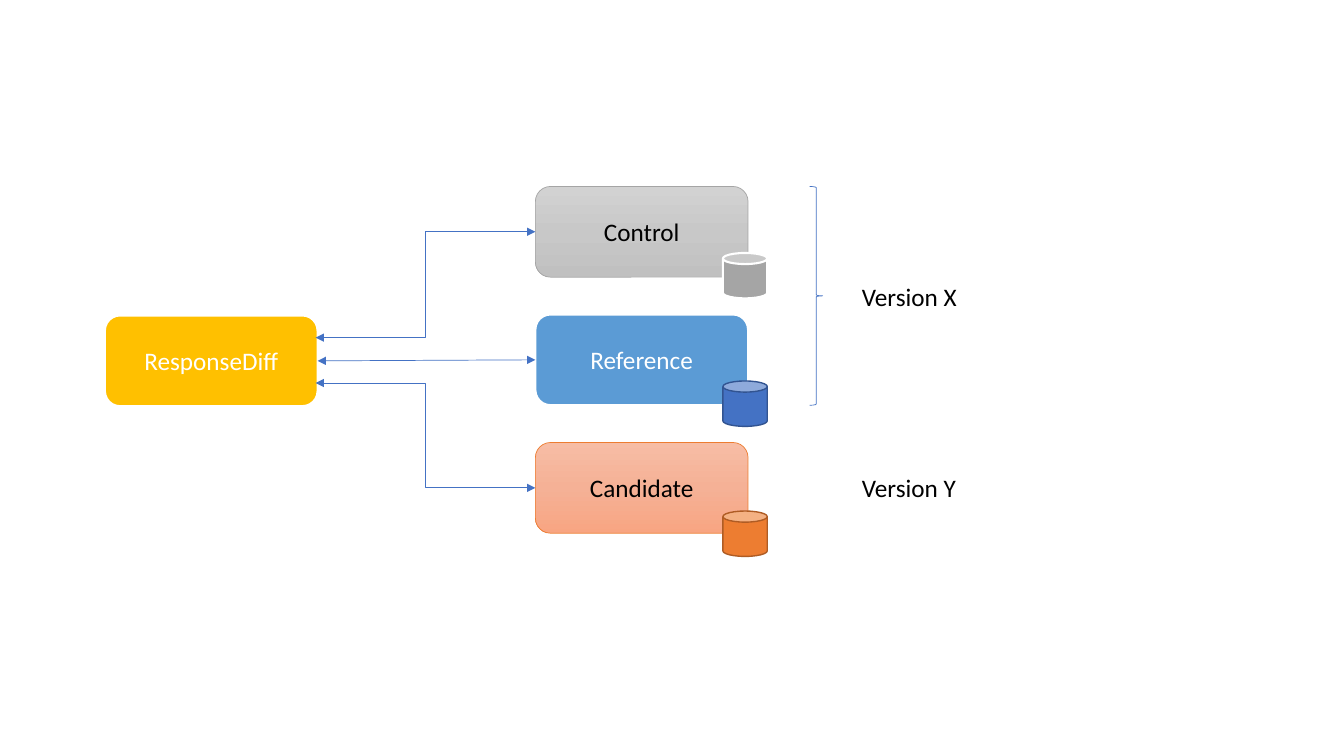
from copy import deepcopy

from lxml.etree import SubElement
from pptx import Presentation
from pptx.dml.color import RGBColor
from pptx.enum.shapes import MSO_CONNECTOR as Connector, MSO_SHAPE as Shape
from pptx.enum.text import MSO_ANCHOR as Anchor, MSO_AUTO_SIZE as AutoSize, PP_ALIGN as Align
from pptx.oxml.ns import qn
from pptx.util import Inches, Pt

COLORS = {
    "white": "FFFFFF", "black": "000000", "gold": "FFC000", "sky": "5B9BD5",
    "blue": "4472C4", "navy": "325491", "orange": "ED7D31", "brown": "AF5C24",
    "gray": "A5A5A5",
    "gray_light": "D2D2D2", "gray_middle": "C8C8C8", "gray_dark": "C0C0C0",
    "peach_light": "F7BDA5", "peach_middle": "F5B196", "peach_dark": "F8A582",
}
GRAY_GRADIENT = ("gray_light", "gray_middle", "gray_dark")
PEACH_GRADIENT = ("peach_light", "peach_middle", "peach_dark")


def color(name):
    """Return the named colour."""
    return RGBColor.from_string(COLORS[name])


def write_text(frame, text, *, ink="black", size=18, font="Calibri", align=Align.LEFT):
    """Put one formatted line of text in a text frame."""
    paragraph = frame.paragraphs[0]
    paragraph.alignment = align
    run = paragraph.add_run()
    run.text = text
    run.font.name = font
    run.font.size = Pt(size)
    run.font.color.rgb = color(ink)


class Diagram:
    """Draws styled elements on one slide."""

    def __init__(self, slide, line_color="blue", line_width=0.5):
        """Keep the slide and the line style."""
        self.slide = slide
        self.line_color = line_color
        self.line_width = line_width

    def shape(self, kind, left, top, width, height, fill, line, line_width):
        """Add a preset shape with a plain, gradient or empty fill."""
        shape = self.slide.shapes.add_shape(
            kind, Inches(left), Inches(top), Inches(width), Inches(height))
        shape.shadow.inherit = False
        if fill is None:
            shape.fill.background()
        elif isinstance(fill, tuple):
            self.gradient(shape, fill)
        else:
            shape.fill.solid()
            shape.fill.fore_color.rgb = color(fill)
        shape.line.color.rgb = color(line)
        shape.line.width = Pt(line_width)
        return shape

    def gradient(self, shape, names):
        """Fill a shape from top to bottom with three evenly spaced stops."""
        shape.fill.gradient()
        shape.fill.gradient_angle = 270
        first = shape.element.find(".//" + qn("a:gs"))
        first.addnext(deepcopy(first))
        for index, (stop, name) in enumerate(zip(shape.fill.gradient_stops, names)):
            stop.position = index / 2
            stop.color.rgb = color(name)

    def box(self, text, left, top, fill, line, line_width, ink):
        """Add a labelled rounded box."""
        box = self.shape(Shape.ROUNDED_RECTANGLE, left, top, 2.11, 0.9, fill, line, line_width)
        box.text_frame.vertical_anchor = Anchor.MIDDLE
        write_text(box.text_frame, text, ink=ink, align=Align.CENTER)
        return box

    def database(self, top, fill, line, line_width):
        """Add a database cylinder."""
        self.shape(Shape.CAN, 7.17, top, 0.44, 0.45, fill, line, line_width)

    def brace(self, left, top, width, height):
        """Add a brace that points right."""
        brace = self.shape(Shape.LEFT_BRACE, left, top, width, height,
                           None, self.line_color, self.line_width)
        brace.rotation = 180

    def label(self, text, left, top):
        """Add an unwrapped text label."""
        label = self.slide.shapes.add_textbox(
            Inches(left), Inches(top), Inches(1.15), Inches(0.4))
        label.text_frame.word_wrap = False
        label.text_frame.auto_size = AutoSize.SHAPE_TO_FIT_TEXT
        write_text(label.text_frame, text)

    def arrow(self, kind, start, target, source=None):
        """Add a two-headed arrow to the left side of the target box."""
        connector = self.slide.shapes.add_connector(
            kind, Inches(start[0]), Inches(start[1]),
            target.left, target.top + target.height // 2)
        if source is not None:
            connector.begin_connect(source, 3)
        connector.end_connect(target, 1)
        connector.line.color.rgb = color(self.line_color)
        connector.line.width = Pt(self.line_width)
        properties = connector.element.spPr
        outline = properties.find(qn("a:ln"))
        for end in ("a:headEnd", "a:tailEnd"):
            SubElement(outline, qn(end), type="triangle")
        SubElement(properties, qn("a:effectLst"))


def main():
    """Build and save the presentation."""
    presentation = Presentation()
    presentation.slide_width = Inches(13.33)
    presentation.slide_height = Inches(7.5)
    diagram = Diagram(presentation.slides.add_slide(presentation.slide_layouts[6]))

    response = diagram.box("ResponseDiff", 1.04, 3.13, "gold", "white", 1.5, "white")
    control, reference, candidate = [
        diagram.box(text, 5.31, 1.85 + 1.27 * row, *style)
        for row, (text, *style) in enumerate([
            ("Control", GRAY_GRADIENT, "gray", 0.5, "black"),
            ("Reference", "sky", "white", 1.5, "white"),
            ("Candidate", PEACH_GRADIENT, "orange", 0.5, "black"),
        ])
    ]

    diagram.arrow(Connector.STRAIGHT, (3.15, 3.58), reference, source=response)
    diagram.arrow(Connector.ELBOW, (3.13, 3.35), control)
    diagram.arrow(Connector.ELBOW, (3.13, 3.8), candidate)

    diagram.brace(8.03, 1.85, 0.13, 2.17)
    diagram.label("Version X", 8.45, 2.74)
    diagram.label("Version Y", 8.45, 4.64)

    diagram.database(3.78, "blue", "navy", 1)
    diagram.database(5.07, "orange", "brown", 1)
    diagram.database(2.51, "gray", "white", 1.5)

    presentation.save("out.pptx")


if __name__ == "__main__":
    main()
